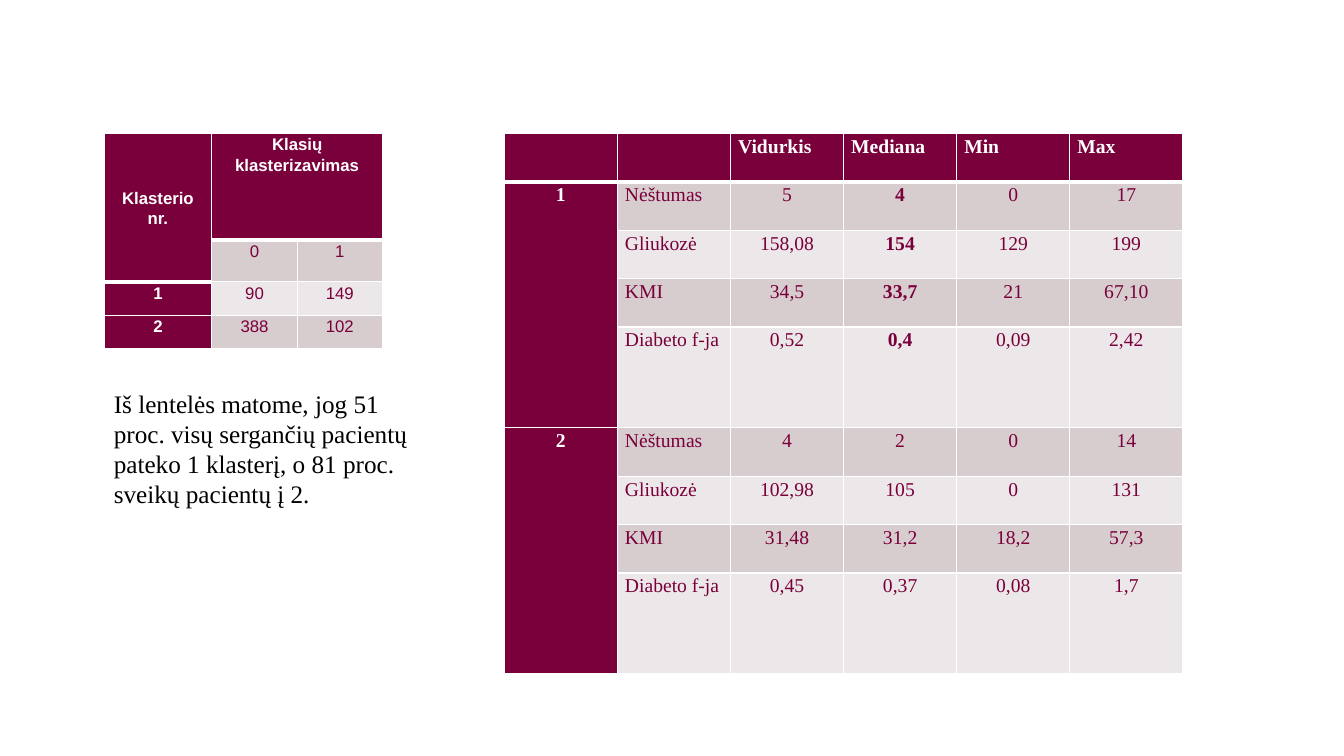
from dataclasses import dataclass

import pptx
import pptx.dml.color
import pptx.enum.text
import pptx.oxml
import pptx.oxml.ns
import pptx.util

Cm = pptx.util.Cm
Pt = pptx.util.Pt
RGBColor = pptx.dml.color.RGBColor
Align = pptx.enum.text.PP_ALIGN
Anchor = pptx.enum.text.MSO_ANCHOR

MAROON = RGBColor(0x7A, 0x00, 0x3B)
BAND_DARK = RGBColor(0xD7, 0xCC, 0xCE)
BAND_LIGHT = RGBColor(0xEC, 0xE7, 0xE8)
WHITE = RGBColor(0xFF, 0xFF, 0xFF)
BLACK = RGBColor(0x00, 0x00, 0x00)

SERIF = "Times New Roman"
SANS = "Arial"


@dataclass(frozen=True)
class TableSpec:
    left: float
    top: float
    col_widths: list[float]
    row_heights: list[float]
    rows: list[list[str]]
    merges: list[tuple[int, int, int, int]]
    header: set[tuple[int, int]]
    bold: set[tuple[int, int]]
    justified_cols: set[int]
    middle: set[tuple[int, int]]
    font: str
    size: float


CLUSTER_TABLE = TableSpec(
    left=2.62,
    top=3.36,
    col_widths=[2.72, 2.15, 2.15],
    row_heights=[2.68, 1.06, 0.84, 0.84],
    rows=[
        ["Klasterio nr.", "Klasių klasterizavimas", ""],
        ["", "0", "1"],
        ["1", "90", "149"],
        ["2", "388", "102"],
    ],
    merges=[(0, 0, 1, 0), (0, 1, 0, 2)],
    header={(0, 0), (1, 0), (0, 1), (0, 2)},
    bold=set(),
    justified_cols=set(),
    middle={(0, 0)},
    font=SANS,
    size=12,
)

STATS_TABLE = TableSpec(
    left=12.71,
    top=3.36,
    col_widths=[2.85] * 6,
    row_heights=[1.22] + [1.22, 1.22, 1.22, 2.54] * 2,
    rows=[
        ["", "", "Vidurkis", "Mediana", "Min", "Max"],
        ["1", "Nėštumas", "5", "4", "0", "17"],
        ["", "Gliukozė", "158,08", "154", "129", "199"],
        ["", "KMI", "34,5", "33,7", "21", "67,10"],
        ["", "Diabeto f-ja", "0,52", "0,4", "0,09", "2,42"],
        ["2", "Nėštumas", "4", "2", "0", "14"],
        ["", "Gliukozė", "102,98", "105", "0", "131"],
        ["", "KMI", "31,48", "31,2", "18,2", "57,3"],
        ["", "Diabeto f-ja", "0,45", "0,37", "0,08", "1,7"],
    ],
    merges=[(1, 0, 4, 0), (5, 0, 8, 0)],
    header={(0, col) for col in range(6)},
    bold={(row, 3) for row in range(1, 5)},
    justified_cols={1},
    middle=set(),
    font=SERIF,
    size=14,
)


def write(tf, text: str, *, font: str, size: float, color: RGBColor,
          bold: bool = False, align=Align.LEFT):
    p = tf.paragraphs[0]
    p.alignment = align
    r = p.add_run()
    r.text = text
    r.font.name = font
    r.font.size = Pt(size)
    r.font.color.rgb = color
    r.font.bold = bold
    return p


def set_borders(cell, widths: dict[str, float]) -> None:
    tc_pr = cell._tc.get_or_add_tcPr()
    for position, (side, width) in enumerate(widths.items()):
        ln = pptx.oxml.parse_xml(
            f'<a:ln{side} {pptx.oxml.ns.nsdecls("a")} w="{Pt(width)}">'
            f'<a:solidFill><a:srgbClr val="{WHITE}"/></a:solidFill></a:ln{side}>'
        )
        tc_pr.insert(position, ln)


def format_cell(cell, spec: TableSpec, row: int, col: int, text: str) -> None:
    is_header = (row, col) in spec.header
    is_label = is_header or col == 0
    cell.fill.solid()
    if is_label:
        cell.fill.fore_color.rgb = MAROON
    else:
        cell.fill.fore_color.rgb = BAND_DARK if row % 2 else BAND_LIGHT
    set_borders(cell, {
        "L": 1,
        "R": 1,
        "T": 3 if (row - 1, col) in spec.header else 1,
        "B": 3 if is_header else 1,
    })
    cell.margin_left = cell.margin_right = Cm(0.19)
    cell.margin_top = cell.margin_bottom = 0
    cell.vertical_anchor = Anchor.MIDDLE if (row, col) in spec.middle else Anchor.TOP
    if not text:
        return
    justified = col in spec.justified_cols or (is_header and spec is STATS_TABLE)
    p = write(
        cell.text_frame, text, font=spec.font, size=spec.size,
        color=WHITE if is_label else MAROON,
        bold=is_label or (row, col) in spec.bold,
        align=Align.JUSTIFY if justified else Align.CENTER,
    )
    p.line_spacing = 1.11
    p.space_after = Pt(0.7)


def add_table(s, spec: TableSpec) -> None:
    gf = s.shapes.add_table(
        len(spec.row_heights), len(spec.col_widths), Cm(spec.left), Cm(spec.top),
        Cm(sum(spec.col_widths)), Cm(sum(spec.row_heights)),
    )
    table = gf.table
    for column, width in zip(table.columns, spec.col_widths):
        column.width = Cm(width)
    for table_row, height in zip(table.rows, spec.row_heights):
        table_row.height = Cm(height)
    for top, left, bottom, right in spec.merges:
        table.cell(top, left).merge(table.cell(bottom, right))
    for row, texts in enumerate(spec.rows):
        for col, text in enumerate(texts):
            format_cell(table.cell(row, col), spec, row, col, text)


def main() -> None:
    prs = pptx.Presentation()
    prs.slide_width = Cm(33.87)
    prs.slide_height = Cm(19.05)
    s = prs.slides.add_slide(prs.slide_layouts[6])
    add_table(s, CLUSTER_TABLE)
    add_table(s, STATS_TABLE)
    sp = s.shapes.add_textbox(Cm(2.62), Cm(9.65), Cm(8.31), Cm(4.11))
    tf = sp.text_frame
    tf.word_wrap = True
    write(
        tf,
        "Iš lentelės matome, jog 51 proc. visų sergančių pacientų pateko "
        "1 klasterį, o 81 proc. sveikų pacientų į 2.",
        font=SERIF, size=18, color=BLACK,
    )
    prs.save("out.pptx")


if __name__ == "__main__":
    main()
